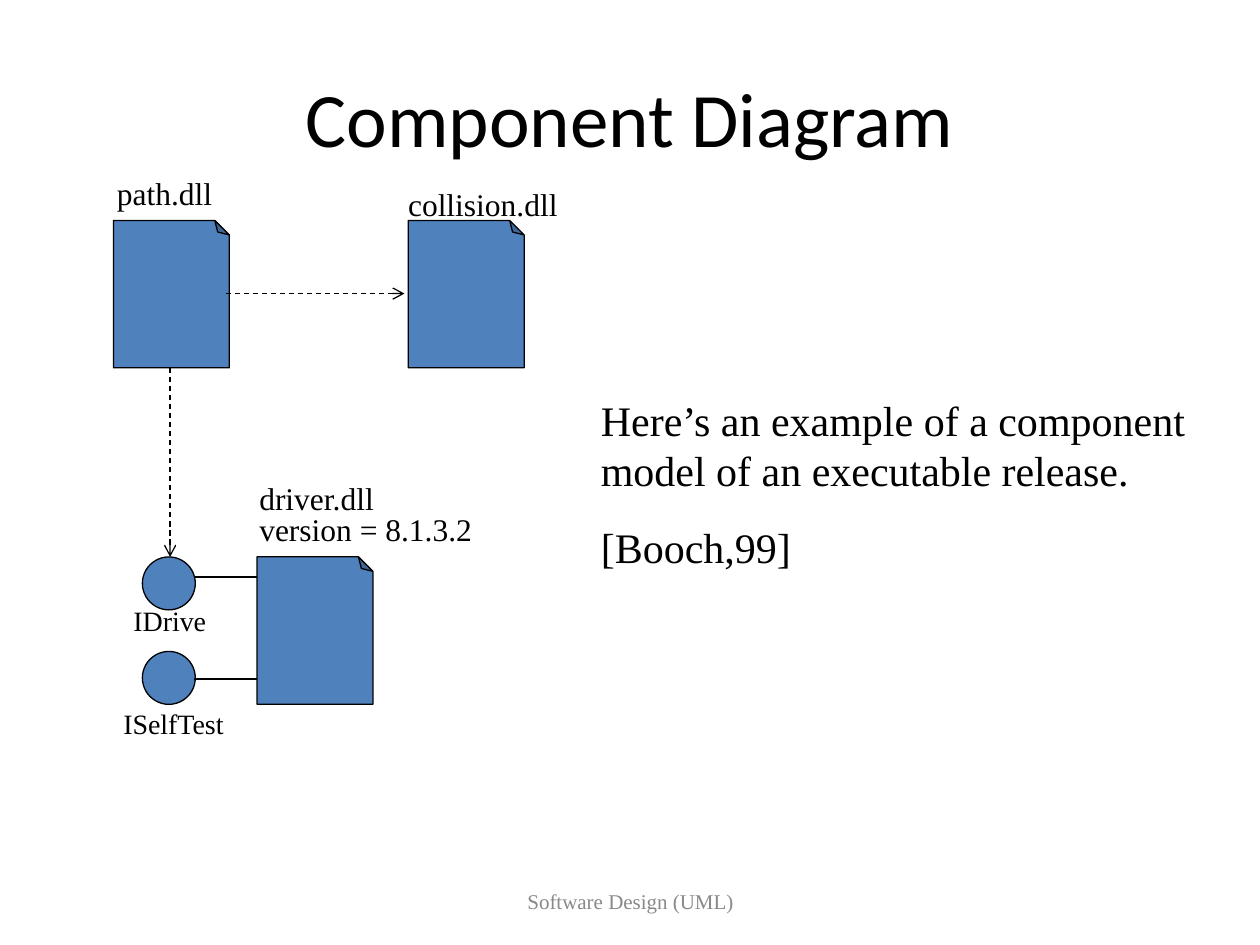
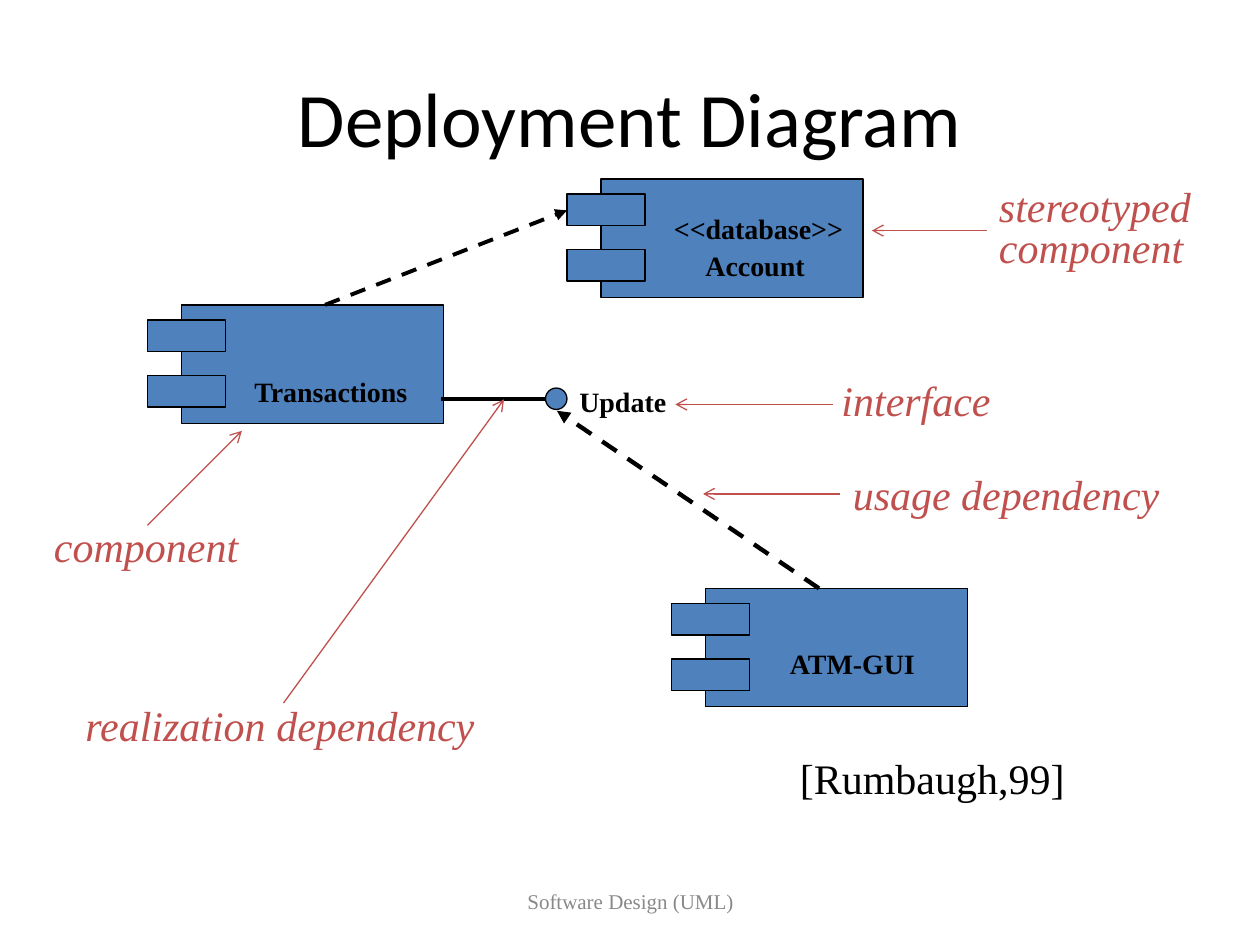
from pptx import Presentation
from pptx.dml.color import RGBColor
from pptx.enum.dml import MSO_LINE
from pptx.enum.shapes import MSO_CONNECTOR, MSO_SHAPE
from pptx.enum.text import MSO_ANCHOR, MSO_AUTO_SIZE, PP_ALIGN
from pptx.oxml.ns import qn
from pptx.util import Inches, Pt
from lxml.etree import SubElement

# Shared style
BLACK, BLUE, RED, GRAY = "000000", "4F81BD", "C0504D", "898989"
SERIF, TITLE_FONT = "Times New Roman", "Calibri"
FILE_SIZE = (0.92, 1.17)


def color(hex_string):
    return RGBColor.from_string(hex_string)


def add_text(slide, text, left, top, width, height=0.4, *, size=18, font=SERIF,
             ink=BLACK, bold=False, italic=False, centered=False, gap=0):
    """Text box; each line of text is a paragraph, with gap points between."""
    frame = slide.shapes.add_textbox(
        Inches(left), Inches(top), Inches(width), Inches(height)).text_frame
    frame.word_wrap = True
    if centered:
        frame.vertical_anchor = MSO_ANCHOR.MIDDLE
    else:
        frame.auto_size = MSO_AUTO_SIZE.SHAPE_TO_FIT_TEXT
    frame.text = text
    for index, paragraph in enumerate(frame.paragraphs):
        paragraph.alignment = PP_ALIGN.CENTER if centered else PP_ALIGN.LEFT
        if index:
            paragraph.space_before = Pt(gap)
        paragraph.font.size = Pt(size)
        paragraph.font.name = font
        paragraph.font.bold = bold
        paragraph.font.italic = italic
        paragraph.font.color.rgb = color(ink)


def add_shape(slide, kind, left, top, width, height):
    shape = slide.shapes.add_shape(
        kind, Inches(left), Inches(top), Inches(width), Inches(height))
    shape.shadow.inherit = False
    shape.fill.solid()
    shape.fill.fore_color.rgb = color(BLUE)
    shape.line.color.rgb = color(BLACK)
    shape.line.width = Pt(0.75)
    return shape


def add_line(slide, start, end, *, ink=BLACK, weight=0.75, dashed=False, head=None):
    connector = slide.shapes.add_connector(
        MSO_CONNECTOR.STRAIGHT, *(Inches(value) for value in (*start, *end)))
    connector.line.color.rgb = color(ink)
    connector.line.width = Pt(weight)
    if dashed:
        connector.line.dash_style = MSO_LINE.DASH
    properties = connector.element.spPr
    if head:
        SubElement(properties.find(qn("a:ln")), qn("a:tailEnd"), type=head)
    SubElement(properties, qn("a:effectLst"))


def add_file(slide, left, top):
    """File symbol with its folded corner at the top right."""
    shape = add_shape(slide, MSO_SHAPE.FOLDED_CORNER, left, top, *FILE_SIZE)
    properties = shape.element.spPr
    properties.find(qn("a:xfrm")).set("flipV", "1")
    adjustments = properties.find(qn("a:prstGeom")).find(qn("a:avLst"))
    SubElement(adjustments, qn("a:gd"), name="adj", fmla="val 12500")


def add_component(slide, left, top):
    """UML component: a body with two lugs on its left edge."""
    add_shape(slide, MSO_SHAPE.RECTANGLE, left + 0.27, top, 2.08, 0.94)
    for offset in (0.12, 0.56):
        add_shape(slide, MSO_SHAPE.RECTANGLE, left, top + offset, 0.62, 0.25)


def add_name(slide, text, left, top, width):
    add_text(slide, text, left, top, width, 0.37, size=16, bold=True)


def add_note(slide, text, left, top, width):
    add_text(slide, text, left, top, width, 0.5, size=24, ink=RED, italic=True)


def add_diagram_slide(presentation, title):
    slide = presentation.slides.add_slide(presentation.slide_layouts[6])
    add_text(slide, title, 0.5, 0.3, 9, 1.25, size=44, font=TITLE_FONT, centered=True)
    add_text(slide, "Software Design (UML)", 3.42, 6.95, 3.17,
             size=12, ink=GRAY, centered=True)
    return slide


def build_component_diagram(presentation):
    slide = add_diagram_slide(presentation, "Component Diagram")

    # Files and their names
    for left, top in ((0.9, 1.75), (3.24, 1.75), (2.04, 4.42)):
        add_file(slide, left, top)
    for text, left, top, width in (
            ("path.dll", 0.83, 1.33, 1.33),
            ("collision.dll", 3.14, 1.42, 1.75),
            ("driver.dll", 1.96, 3.75, 1.33),
            ("version = 8.1.3.2", 1.96, 4, 2.5)):
        add_text(slide, text, left, top, width)

    # Interfaces of the driver
    for name, circle_top, line_y, name_left, name_top in (
            ("IDrive", 4.42, 4.58, 0.96, 4.74),
            ("ISelfTest", 5.17, 5.39, 0.88, 5.56)):
        add_shape(slide, MSO_SHAPE.OVAL, 1.13, circle_top, 0.42, 0.42)
        add_line(slide, (1.54, line_y), (2.04, line_y))
        add_text(slide, name, name_left, name_top, 1.08, 0.37, size=16)

    # Dependencies
    for start, end in (((1.35, 2.92), (1.35, 4.42)), ((1.79, 2.33), (3.21, 2.33))):
        add_line(slide, start, end, dashed=True, head="arrow")

    add_text(slide, "Here’s an example of a component model of an executable release."
             "\n[Booch,99]", 4.67, 3.08, 4.92, 1.51, size=24, gap=15)


def build_deployment_diagram(presentation):
    slide = add_diagram_slide(presentation, "Deployment Diagram")

    # Components and the interface
    for left, top in ((1.17, 2.42), (4.5, 1.42), (5.33, 4.67)):
        add_component(slide, left, top)
    add_shape(slide, MSO_SHAPE.OVAL, 4.33, 3.08, 0.17, 0.17)
    for text, left, top, width in (
            ("Transactions", 1.92, 2.92, 1.75),
            ("<<database>>", 5.25, 1.63, 1.58),
            ("Account", 5.5, 1.92, 1.25),
            ("ATM-GUI", 6.17, 5.08, 1.25),
            ("Update", 4.5, 3, 1.17)):
        add_name(slide, text, left, top, width)

    # Realization and usage
    add_line(slide, (4.33, 3.17), (3.5, 3.17), weight=2.25)
    add_line(slide, (2.58, 2.42), (4.5, 1.67), weight=2.25, dashed=True, head="triangle")
    add_line(slide, (6.5, 4.67), (4.42, 3.26), weight=2.5, dashed=True, head="triangle")

    # Red notes and their arrows
    for text, left, top, width in (
            ("component", 0.33, 4.08, 2.08),
            ("realization dependency", 0.58, 5.5, 3.83),
            ("interface", 6.58, 2.92, 1.42),
            ("usage dependency", 6.67, 3.67, 2.67),
            ("stereotyped", 7.83, 1.38, 1.75),
            ("component", 7.83, 1.71, 2.08)):
        add_note(slide, text, left, top, width)
    for start, end in (
            ((1.17, 4.17), (1.92, 3.42)),
            ((2.25, 5.58), (4, 3.17)),
            ((6.67, 3.92), (5.58, 3.92)),
            ((6.61, 3.21), (5.36, 3.21)),
            ((7.83, 1.83), (6.92, 1.83))):
        add_line(slide, start, end, ink=RED, head="arrow")

    add_text(slide, "[Rumbaugh,99]", 6.25, 5.92, 3.75, 0.5, size=24)


def main():
    presentation = Presentation()
    presentation.slide_width = Inches(10)
    presentation.slide_height = Inches(7.5)
    build_component_diagram(presentation)
    build_deployment_diagram(presentation)
    presentation.save("out.pptx")


if __name__ == "__main__":
    main()
